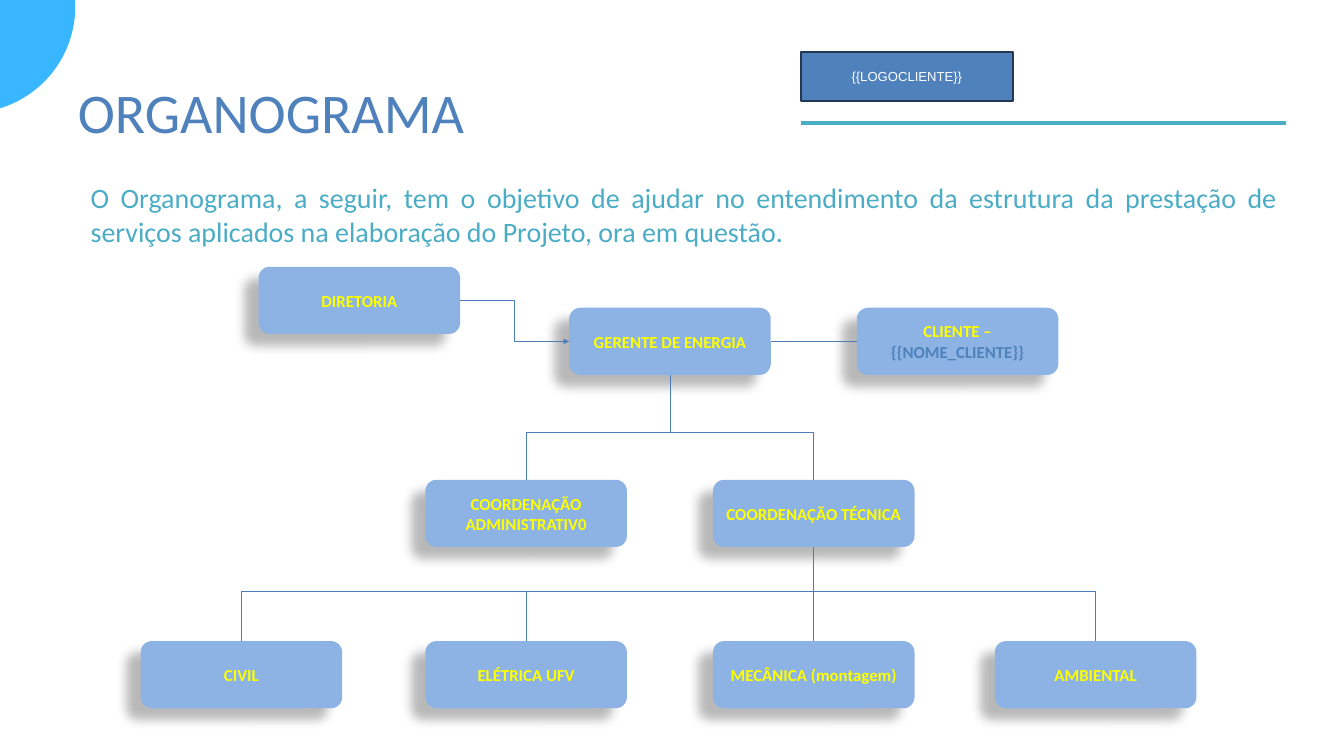
from dataclasses import dataclass
from typing import NamedTuple

import lxml.etree
import pptx
import pptx.dml.color
import pptx.enum.shapes
import pptx.enum.text
import pptx.oxml.ns
import pptx.util

qn = pptx.oxml.ns.qn
Kind = pptx.enum.shapes.MSO_SHAPE
Wire = pptx.enum.shapes.MSO_CONNECTOR
Align = pptx.enum.text.PP_ALIGN
Anchor = pptx.enum.text.MSO_ANCHOR
Fit = pptx.enum.text.MSO_AUTO_SIZE


@dataclass(frozen=True)
class Theme:
    blue: str = "4F81BD"
    teal: str = "4BACC6"
    sky: str = "38B6FF"
    box: str = "8CB3E3"
    wire: str = "4A7DBA"
    edge: str = "233953"
    yellow: str = "FFFF00"
    white: str = "FFFFFF"
    font: str = "Calibri"
    plain: str = "Arial"
    title: int = 60
    body: int = 30
    label: int = 18
    small: int = 14


class Area(NamedTuple):
    col: float
    row: float
    wide: float
    high: float


class Run(NamedTuple):
    text: str
    color: str
    size: int
    font: str = "Calibri"
    bold: bool = False


class Post(NamedTuple):
    key: str
    step: float
    row: float
    label: str
    extra: str = ""


class Link(NamedTuple):
    key: str
    side: int
    col: float
    row: float


T = Theme()
COLS, ROWS = 20, 11.25
CELL = pptx.util.Inches(1)
MID, PITCH = 9.97, 4.28
WIDE, HIGH = 3, 1
TOP, LEAD, COORD, TEAM = 3.97, 4.58, 7.14, 9.54
BUS, RAIL = 6.43, 8.8
TOP_SIDE, LEFT, FOOT, RIGHT = range(4)

POSTS = [
    Post("chief", -1.08, TOP, "DIRETORIA"),
    Post("lead", 0, LEAD, "GERENTE DE ENERGIA"),
    Post("client", 1, LEAD, "CLIENTE – ", "{{NOME_CLIENTE}}"),
    Post("admin", -0.5, COORD, "COORDENAÇÃO ADMINISTRATIV0"),
    Post("tech", 0.5, COORD, "COORDENAÇÃO TÉCNICA"),
    Post("civil", -1.49, TEAM, "CIVIL"),
    Post("power", -0.5, TEAM, "ELÉTRICA UFV"),
    Post("mech", 0.5, TEAM, "MECÂNICA (montagem)"),
    Post("green", 1.48, TEAM, "AMBIENTAL"),
]


def grid(size: float) -> int:
    return round(size * CELL)


def center(step: float) -> float:
    return MID + PITCH * step


def rgb(code: str):
    return pptx.dml.color.RGBColor.from_string(code)


def write(para, runs: list[Run]) -> None:
    for item in runs:
        run = para.add_run()
        run.text = item.text
        run.font.name = item.font
        run.font.size = pptx.util.Pt(item.size)
        run.font.bold = item.bold
        run.font.color.rgb = rgb(item.color)


def shape(slide, kind, area: Area, fill: str, runs: list[Run]):
    item = slide.shapes.add_shape(kind, *map(grid, area))
    item.fill.solid()
    item.fill.fore_color.rgb = rgb(fill)
    item.line.fill.background()
    item.shadow.inherit = False
    frame = item.text_frame
    frame.word_wrap = True
    frame.vertical_anchor = Anchor.MIDDLE
    frame.paragraphs[0].alignment = Align.CENTER
    write(frame.paragraphs[0], runs)
    return item


def words(slide, area: Area, run: Run, pad: bool, space: float):
    frame = slide.shapes.add_textbox(*map(grid, area)).text_frame
    frame.word_wrap = True
    frame.auto_size = Fit.SHAPE_TO_FIT_TEXT
    if not pad:
        frame.margin_left = frame.margin_right = 0
        frame.margin_top = frame.margin_bottom = 0
    para = frame.paragraphs[0]
    para.line_spacing = space
    write(para, [run])
    return para


def shade(item) -> None:
    effects = item._element.spPr.find(qn("a:effectLst"))
    outer = lxml.etree.SubElement(
        effects, qn("a:outerShdw"),
        blurRad=str(pptx.util.Pt(11.8)), dist=str(pptx.util.Pt(19.7)),
        dir=str(141 * 60000), algn="ctr", rotWithShape="0")
    color = lxml.etree.SubElement(outer, qn("a:srgbClr"), val="000000")
    lxml.etree.SubElement(color, qn("a:alpha"), val="27000")


def post(slide, item: Post):
    area = Area(center(item.step) - WIDE / 2, item.row, WIDE, HIGH)
    runs = [Run(item.label, T.yellow, T.label, bold=True)]
    if item.extra:
        runs.append(Run(item.extra, T.blue, T.label, bold=True))
    box = shape(slide, Kind.ROUNDED_RECTANGLE, area, T.box, runs)
    shade(box)
    return box


def wire(slide, ends: Area, color: str = T.wire, width: float = 0.75,
         kind=Wire.STRAIGHT):
    line = slide.shapes.add_connector(kind, *map(grid, ends))
    line.line.color.rgb = rgb(color)
    line.line.width = pptx.util.Pt(width)
    lxml.etree.SubElement(line._element.spPr, qn("a:effectLst"))
    return line


def join(slide, first, side: int, last, end: int, kind=Wire.STRAIGHT):
    line = wire(slide, Area(0, 0, 0, 0), kind=kind)
    line.begin_connect(first, side)
    line.end_connect(last, end)
    return line


def chart(slide) -> None:
    boxes = {item.key: post(slide, item) for item in POSTS}
    spots = {item.key: center(item.step) for item in POSTS}
    join(slide, boxes["client"], LEFT, boxes["lead"], RIGHT)
    for left, right, row in (("admin", "tech", BUS), ("civil", "green", RAIL)):
        wire(slide, Area(spots[right], row, spots[left], row))
    links = [Link("lead", FOOT, spots["lead"], BUS)]
    links += [Link(key, TOP_SIDE, spots[key], BUS) for key in ("admin", "tech")]
    links += [Link(key, TOP_SIDE, spots[key], RAIL)
              for key in ("civil", "power", "green")]
    for link in links:
        line = wire(slide, Area(link.col, link.row, link.col, link.row))
        line.begin_connect(boxes[link.key], link.side)
    join(slide, boxes["mech"], TOP_SIDE, boxes["tech"], FOOT)
    bent = join(slide, boxes["chief"], RIGHT, boxes["lead"], LEFT, Wire.ELBOW)
    lxml.etree.SubElement(bent.line._get_or_add_ln(), qn("a:tailEnd"),
                          type="triangle")


def main() -> None:
    deck = pptx.Presentation()
    deck.slide_width, deck.slide_height = grid(COLS), grid(ROWS)
    slide = deck.slides.add_slide(deck.slide_layouts[6])
    shape(slide, Kind.OVAL, Area(-2.04, -1.48, 3.16, 3.16), T.sky, [])
    words(slide, Area(1.16, 1.25, 12.76, 0.93),
          Run("ORGANOGRAMA", T.blue, T.title), False, 0.92)
    wire(slide, Area(11.92, 1.83, 19.14, 1.83), T.teal, 4.75)
    intro = words(slide, Area(1.1, 2.63, 18.01, 1.12), Run(
        "O Organograma, a seguir, tem o objetivo de ajudar no entendimento "
        "da estrutura da prestação de serviços aplicados na elaboração do "
        "Projeto, ora em questão.", T.teal, T.body), True, 1.01)
    intro.alignment = Align.JUSTIFY
    intro._p.get_or_add_pPr().set("marL", str(grid(0.15)))
    chart(slide)
    logo = shape(slide, Kind.RECTANGLE, Area(11.92, 0.77, 3.15, 0.73), T.blue,
                 [Run("{{LOGOCLIENTE}}", T.white, T.small, T.plain)])
    logo.line.color.rgb = rgb(T.edge)
    logo.line.width = pptx.util.Pt(2)
    deck.save("out.pptx")


if __name__ == "__main__":
    main()
